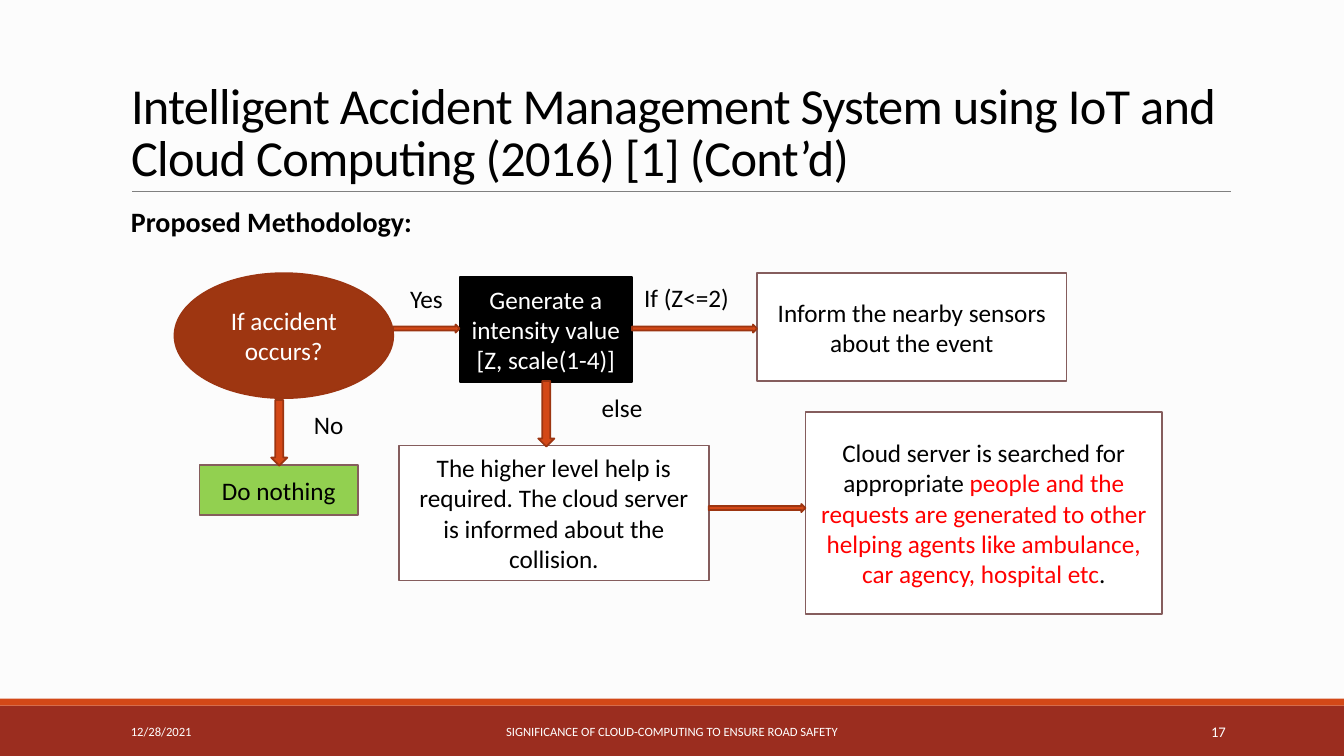
"""Build the accident management flowchart slide."""
from dataclasses import dataclass

from pptx import Presentation
from pptx import util as u
from pptx.dml.color import RGBColor
from pptx.enum import shapes, text
from pptx.oxml.ns import qn
from pptx.oxml.xmlchemy import OxmlElement

WIDTH, HEIGHT = u.Inches(13.333), u.Inches(7.5)
BLACK, WHITE, RED = "000000", "FFFFFF", "FF0000"
ORANGE, RUST, MAUVE = "D34817", "9C3511", "855D5D"
SHAPE, ALIGN, ANCHOR = shapes.MSO_SHAPE, text.PP_ALIGN, text.MSO_ANCHOR


@dataclass
class Area:
    """Position and size in percent of the slide's width and height."""
    x: float
    y: float
    w: float
    h: float

    def emu(self) -> tuple[int, int, int, int]:
        """Return left, top, width and height in EMU."""
        return across(self.x), down(self.y), across(self.w), down(self.h)


@dataclass
class Node:
    """A filled flowchart step; runs pair words with a colour."""
    area: Area
    runs: list[tuple[str, str]]
    fill: str = WHITE
    line: str = MAUVE
    kind: SHAPE = SHAPE.RECTANGLE


@dataclass
class Label:
    """A free piece of text."""
    area: Area
    words: str
    size: float = 18
    color: str = BLACK
    align: ALIGN = ALIGN.CENTER
    anchor: ANCHOR = ANCHOR.TOP
    bold: bool = False


def across(share: float) -> int:
    """Turn a percentage of the slide's width into EMU."""
    return round(WIDTH * share / 100)


def down(share: float) -> int:
    """Turn a percentage of the slide's height into EMU."""
    return round(HEIGHT * share / 100)


def rgb(value: str) -> RGBColor:
    """Return the colour for a hex string."""
    return RGBColor.from_string(value)


def set_font(p, size: float, color: str, bold: bool = False) -> None:
    """Set the font of a whole paragraph."""
    p.font.name, p.font.size, p.font.bold = "Calibri", u.Pt(size), bold
    p.font.color.rgb = rgb(color)


def add_block(slide, kind: SHAPE, area: Area, fill: str, line: str | None = None):
    """Add a flat preset shape."""
    sp = slide.shapes.add_shape(kind, *area.emu())
    sp.shadow.inherit = False
    sp.fill.solid()
    sp.fill.fore_color.rgb = rgb(fill)
    if line:
        sp.line.color.rgb = rgb(line)
        sp.line.width = u.Pt(1.25)
    else:
        sp.line.fill.background()
    return sp


def add_node(slide, node: Node) -> None:
    """Add a flowchart step with centred text."""
    tf = add_block(slide, node.kind, node.area, node.fill, node.line).text_frame
    tf.word_wrap, tf.vertical_anchor = True, ANCHOR.MIDDLE
    p = tf.paragraphs[0]
    p.alignment = ALIGN.CENTER
    base = node.runs[0][1]
    set_font(p, 18, base)
    for words, color in node.runs:
        r = p.add_run()
        r.text = words
        if color != base:
            r.font.color.rgb = rgb(color)


def add_label(slide, label: Label):
    """Add a text box and return its paragraph."""
    tf = slide.shapes.add_textbox(*label.area.emu()).text_frame
    tf.word_wrap, tf.vertical_anchor = True, label.anchor
    p = tf.paragraphs[0]
    p.text, p.alignment = label.words, label.align
    set_font(p, label.size, label.color, label.bold)
    return p


def add_title(slide, words: str) -> None:
    """Place and format the title and the rule below it."""
    sp = slide.shapes.title
    sp.left, sp.top, sp.width, sp.height = Area(9, 4.13, 82.5, 21.2).emu()
    tf = sp.text_frame
    tf.word_wrap, tf.auto_size = True, text.MSO_AUTO_SIZE.NONE
    tf.vertical_anchor = ANCHOR.BOTTOM
    p = tf.paragraphs[0]
    p.text, p.alignment, p.line_spacing = words, ALIGN.LEFT, 0.85
    set_font(p, 36, BLACK)
    p._p.pPr.find(qn("a:defRPr")).set("spc", "-50")
    rule = slide.shapes.add_connector(
        shapes.MSO_CONNECTOR.STRAIGHT,
        across(9.83), down(25.33), across(91.58), down(25.33))
    rule.line.color.rgb, rule.line.width = rgb("808080"), u.Pt(0.5)
    rule._element.spPr.append(OxmlElement("a:effectLst"))


NODES = [
    Node(Area(12.98, 36.13, 16.28, 16.53), [("If accident occurs?", WHITE)],
         "9E3611", RUST, SHAPE.OVAL),
    Node(Area(34.2, 36.67, 12.83, 13.87),
         [("Generate a intensity value [Z, scale(1-4)]", WHITE)], BLACK, BLACK),
    Node(Area(56.33, 36.13, 23.03, 14.27),
         [("Inform the nearby sensors about the event", BLACK)]),
    Node(Area(29.7, 58.93, 23.03, 17.87),
         [("The higher level help is required. The cloud server is informed "
           "about the collision.", BLACK)]),
    Node(Area(59.93, 54.53, 26.55, 26.67),
         [("Cloud server is searched for appropriate ", BLACK),
          ("people and the requests are generated to other helping agents "
           "like ambulance, car agency, hospital etc", RED),
          (".", BLACK)]),
    Node(Area(14.85, 61.47, 11.78, 6.67), [("Do nothing", BLACK)], "92D050"),
]
RIGHT_ARROWS = [(29.25, 42.93, 4.95), (47.03, 42.93, 9.3), (52.73, 66.67, 7.2)]
DOWN_ARROWS = [(20.18, 52.93), (40.05, 50.4)]
BRANCHES = [("Yes", 27.68, 36.8), ("If (Z<=2)", 47.03, 36.67),
            ("else", 42.23, 51.2), ("No", 20.4, 53.47)]
FOOTERS = [
    ("12/28/2021", 9, 20.25, 9, ALIGN.LEFT),
    ("SIGNIFICANCE OF CLOUD-COMPUTING TO ENSURE ROAD SAFETY",
     30.22, 39.53, 9, ALIGN.CENTER),
    ("17", 81.22, 10.73, 10.5, ALIGN.RIGHT),
]


def main() -> None:
    """Build and save the slide."""
    prs = Presentation()
    prs.slide_width, prs.slide_height = WIDTH, HEIGHT
    slide = prs.slides.add_slide(prs.slide_layouts.get_by_name("Title Only"))
    slide.background.fill.solid()
    slide.background.fill.fore_color.rgb = rgb("FCFCFC")

    add_block(slide, SHAPE.RECTANGLE, Area(0, 93.33, 100, 6.67), "9B2D1F")
    add_block(slide, SHAPE.RECTANGLE, Area(0, 92.4, 100, 0.93), ORANGE)
    add_title(slide, "Intelligent Accident Management System using IoT and "
                     "Cloud Computing (2016) [1] (Cont’d)")
    p = add_label(slide, Label(Area(9, 26.93, 82.5, 58.67), "Proposed Methodology:",
                               20, align=ALIGN.LEFT, bold=True))
    p.line_spacing, p.space_before, p.space_after = 0.9, u.Pt(12), u.Pt(2)
    for words, x, w, size, align in FOOTERS:
        add_label(slide, Label(Area(x, 94.13, w, 5.33), words, size, WHITE,
                               align, ANCHOR.MIDDLE))

    for node in NODES:
        add_node(slide, node)
    for x, y, w in RIGHT_ARROWS:
        add_block(slide, SHAPE.RIGHT_ARROW, Area(x, y, w, 1.07), ORANGE, RUST)
    for x, y in DOWN_ARROWS:
        add_block(slide, SHAPE.DOWN_ARROW, Area(x, y, 1.2, 8.67), ORANGE, RUST)
    for words, x, y in BRANCHES:
        add_label(slide, Label(Area(x, y, 8.1, 5.33), words))

    prs.save("out.pptx")


if __name__ == "__main__":
    main()
